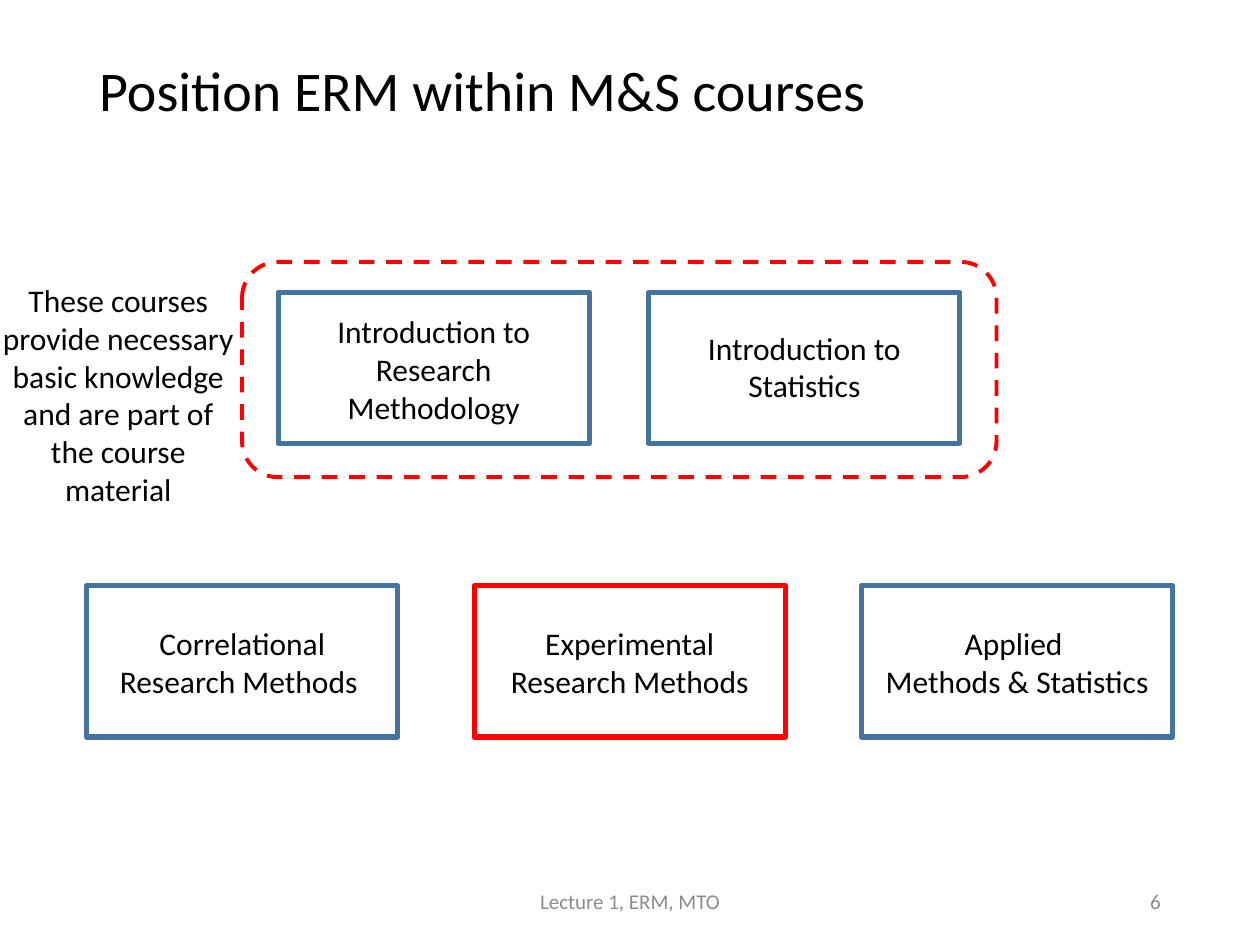
"""Build a slide that places the ERM course among the M&S courses."""
from dataclasses import dataclass

from pptx import Presentation
from pptx import util as u
from pptx.dml.color import RGBColor
from pptx.enum import dml, shapes, text

BLACK = RGBColor(0x00, 0x00, 0x00)
GREY = RGBColor(0x8C, 0x8C, 0x8C)
BLUE = RGBColor(0x43, 0x73, 0x9E)
RED = RGBColor(0xFF, 0x00, 0x00)

BOX_W, BOX_H = 6.27, 3.05
INTRO_TOP, METHODS_TOP = 5.89, 11.81
METHODS_LEFT, METHODS_STEP = 1.75, 7.81


@dataclass
class Course:
    name: str
    left: float
    top: float
    label_top: float
    label_w: float = 6.22
    label_h: float = 1.8
    color: RGBColor = BLUE


def add_text(slide, content: str, left: float, top: float, width: float, height: float, *,
             size: float = 18, color: RGBColor = BLACK, align=text.PP_ALIGN.CENTER,
             anchor=text.MSO_ANCHOR.TOP, spacing: float = 1.0) -> None:
    sp = slide.shapes.add_textbox(u.Cm(left), u.Cm(top), u.Cm(width), u.Cm(height))
    tf = sp.text_frame
    tf.word_wrap = True
    tf.vertical_anchor = anchor
    tf.text = content
    for p in tf.paragraphs:
        p.alignment = align
        p.line_spacing = spacing
        for r in p.runs:
            r.font.name = "Calibri"
            r.font.size = u.Pt(size)
            r.font.color.rgb = color


def add_frame(slide, kind, left: float, top: float, width: float, height: float,
              color: RGBColor, weight: float, dash=None) -> None:
    sp = slide.shapes.add_shape(kind, u.Cm(left), u.Cm(top), u.Cm(width), u.Cm(height))
    sp.shadow.inherit = False
    sp.fill.background()
    sp.line.color.rgb = color
    sp.line.width = u.Pt(weight)
    if dash is not None:
        sp.line.dash_style = dash


def add_course(slide, course: Course) -> None:
    add_frame(slide, shapes.MSO_SHAPE.RECTANGLE, course.left, course.top,
              BOX_W, BOX_H, course.color, 3)
    add_text(slide, course.name, course.left + (BOX_W - course.label_w) / 2,
             course.label_top, course.label_w, course.label_h)


def main() -> None:
    prs = Presentation()
    prs.slide_width, prs.slide_height = u.Cm(25.4), u.Cm(19.05)
    s = prs.slides.add_slide(prs.slide_layouts[6])
    middle = text.MSO_ANCHOR.MIDDLE

    add_text(s, "Position ERM within M&S courses", 1.75, 1.02, 21.9, 1.73, size=32,
             align=text.PP_ALIGN.LEFT, anchor=middle, spacing=0.9)

    courses = [
        Course("Introduction to Research Methodology", 5.61, INTRO_TOP, 6.17, 5.82, 2.57),
        Course("Introduction to Statistics", 13.08, INTRO_TOP, 6.5, 5.36),
    ]
    methods = [
        ("Correlational Research Methods ", BLUE),
        ("Experimental Research Methods", RED),
        ("Applied \nMethods & Statistics", BLUE),
    ]
    courses += [
        Course(name, METHODS_LEFT + i * METHODS_STEP, METHODS_TOP, 12.45, color=color)
        for i, (name, color) in enumerate(methods)
    ]
    for course in courses:
        add_course(s, course)

    add_frame(s, shapes.MSO_SHAPE.ROUNDED_RECTANGLE, 4.88, 5.28, 15.21, 4.34,
              RED, 2.25, dml.MSO_LINE.DASH)
    add_text(s, "These courses provide necessary basic knowledge and are part of "
             "the course material", -0.23, 5.54, 5.23, 4.88)

    add_text(s, "Lecture 1, ERM, MTO", 8.41, 17.65, 8.59, 1.02,
             size=12, color=GREY, anchor=middle)
    add_text(s, "6", 17.93, 17.65, 5.72, 1.02, size=12, color=GREY,
             align=text.PP_ALIGN.RIGHT, anchor=middle)

    prs.save("out.pptx")


if __name__ == "__main__":
    main()
